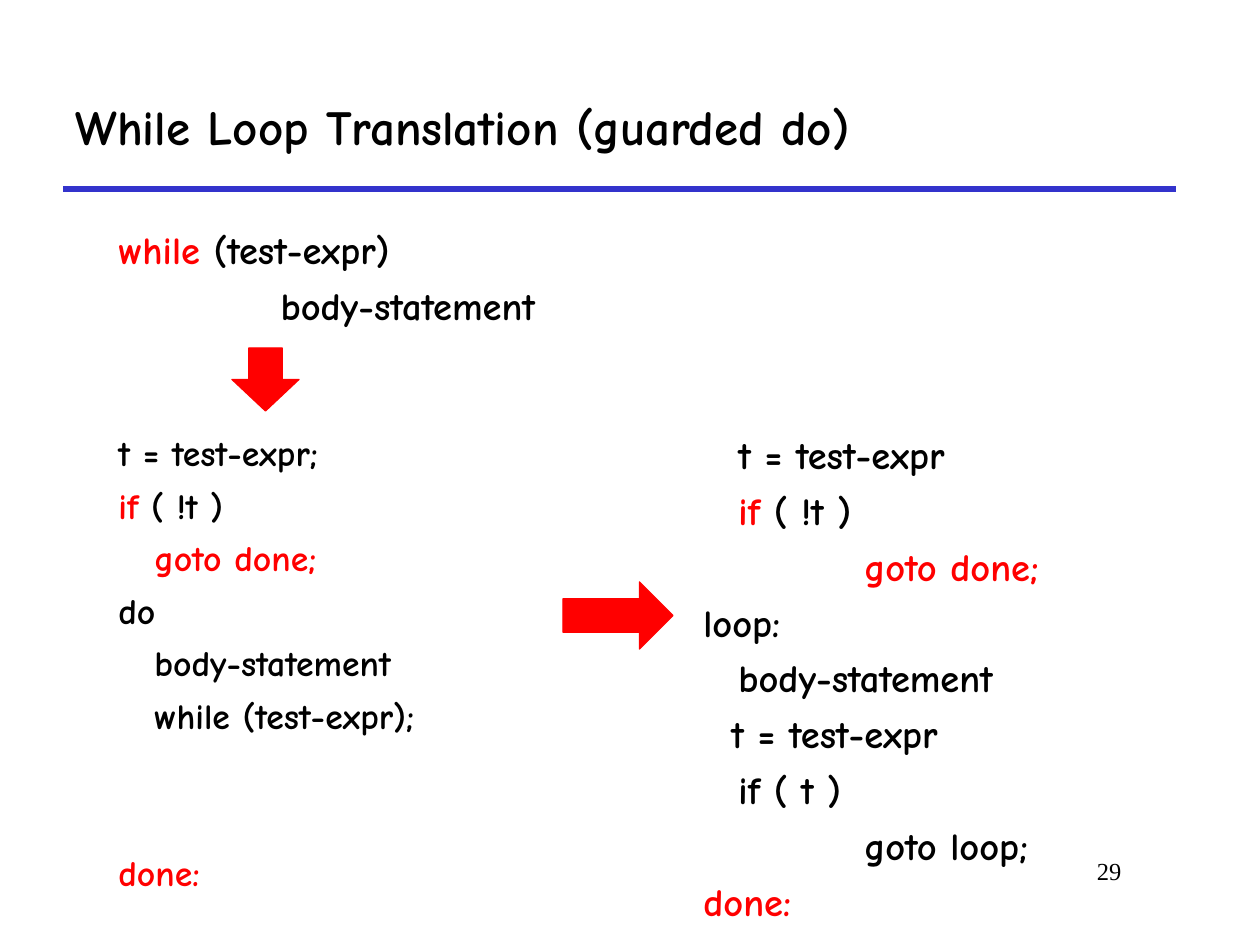
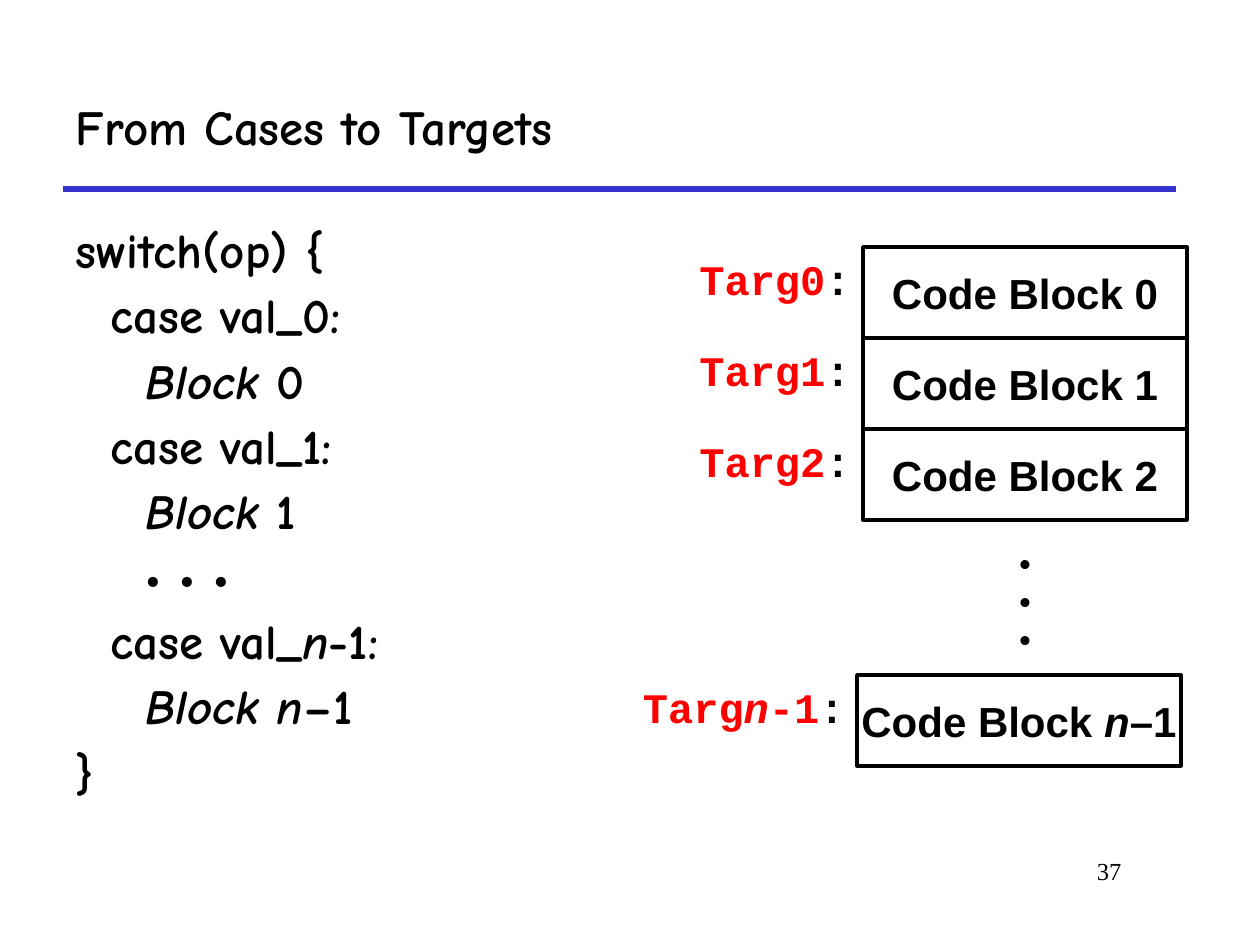
"""Build two lecture slides on translating while loops and switch statements."""
import dataclasses

import lxml.etree
import pptx
import pptx.dml.color
import pptx.enum.shapes
import pptx.enum.text
import pptx.oxml.ns
import pptx.util

SHAPES = pptx.enum.shapes.MSO_SHAPE
ALIGN = pptx.enum.text.PP_ALIGN
ANCHOR = pptx.enum.text.MSO_ANCHOR


@dataclasses.dataclass(frozen=True)
class Theme:
    black: pptx.dml.color.RGBColor = pptx.dml.color.RGBColor(0, 0, 0)
    white: pptx.dml.color.RGBColor = pptx.dml.color.RGBColor(255, 255, 255)
    red: pptx.dml.color.RGBColor = pptx.dml.color.RGBColor(255, 0, 0)
    rule: pptx.dml.color.RGBColor = pptx.dml.color.RGBColor(0x33, 0x33, 0xCC)
    hand: str = "Comic Neue"
    sans: str = "Arial"
    mono: str = "Courier New"
    serif: str = "Times New Roman"
    title: float = 28
    code: float = 22
    small_code: float = 20.4
    block: float = 24
    dots: float = 18
    number: float = 14


theme = Theme()
KEY = {"color": theme.red}
ITALIC = {"italic": True}


def px(*lengths):
    return [pptx.util.Emu(round(length * 914400 / 126)) for length in lengths]


def write_text(shape, lines, size, font=theme.hand, color=theme.black, bold=True,
               align=ALIGN.LEFT, anchor=ANCHOR.TOP, wrap=True, before=0, spacing=1.0):
    """Fill a shape with lines, each an indent followed by (text, overrides) runs."""
    frame = shape.text_frame
    frame.auto_size = pptx.enum.text.MSO_AUTO_SIZE.NONE
    frame.word_wrap = wrap
    frame.vertical_anchor = anchor
    for index, (indent, *runs) in enumerate(lines):
        paragraph = frame.add_paragraph() if index else frame.paragraphs[0]
        paragraph.alignment = align
        paragraph.line_spacing = spacing
        paragraph.space_before = pptx.util.Pt(before)
        properties = paragraph._p.get_or_add_pPr()
        properties.set("marL", str(px(indent)[0]))
        properties.set("indent", "0")
        lxml.etree.SubElement(properties, pptx.oxml.ns.qn("a:buNone"))
        for text, overrides in runs:
            run = paragraph.add_run()
            run.text = text
            run.font.name = font
            run.font.size = pptx.util.Pt(size)
            run.font.bold = bold
            run.font.italic = overrides.get("italic", False)
            run.font.color.rgb = overrides.get("color", color)


presentation = pptx.Presentation()
presentation.slide_width, presentation.slide_height = px(1260, 945)

for title, number in [("While Loop Translation (guarded do)", "29"),
                      ("From Cases to Targets", "37")]:
    slide = presentation.slides.add_slide(presentation.slide_layouts[1])
    heading = slide.shapes.title
    heading.left, heading.top, heading.width, heading.height = px(63, 63, 1113, 126)
    write_text(heading, [(0, (title, {}))], theme.title, anchor=ANCHOR.MIDDLE)
    rule = slide.shapes.add_connector(
        pptx.enum.shapes.MSO_CONNECTOR.STRAIGHT, *px(63, 189, 1176, 189))
    rule.line.color.rgb = theme.rule
    rule.line.width = pptx.util.Pt(3)
    lxml.etree.SubElement(rule._element.spPr, pptx.oxml.ns.qn("a:effectLst"))
    page_number = slide.shapes.add_textbox(*px(955, 850, 179, 63))
    write_text(page_number, [(0, (number, {}))], theme.number, font=theme.serif,
               bold=False, align=ALIGN.RIGHT)

while_slide, switch_slide = presentation.slides

while_loop = while_slide.placeholders[1]
while_loop.left, while_loop.top, while_loop.width, while_loop.height = px(94, 220, 473, 158)
write_text(while_loop, [
    (12, ("while", KEY), (" (test-expr)", {})),
    (174, ("body-statement", {})),
], theme.code, before=5.5)

guarded_do = while_slide.shapes.add_textbox(*px(94, 425, 514, 480))
write_text(guarded_do, [
    (12, ("t = test-expr;", {})),
    (12, ("if ", KEY), ("( !t )", {})),
    (48, ("goto done;", KEY)),
    (12, ("do", {})),
    (48, ("body-statement", {})),
    (48, ("while (test-expr);", {})),
    (12, ("done:", KEY)),
], theme.small_code, before=5.5)
guarded_do.text_frame.paragraphs[-1].space_before = pptx.util.Pt(65.3)

goto_version = while_slide.shapes.add_textbox(*px(678, 425, 473, 510))
write_text(goto_version, [
    (48, ("t = test-expr", {})),
    (48, ("if ", KEY), ("( !t )", {})),
    (174, ("goto done;", KEY)),
    (13, ("loop:", {})),
    (48, ("body-statement", {})),
    (41, ("t = test-expr", {})),
    (48, ("if ( t )", {})),
    (174, ("goto loop;", {})),
    (13, ("done:", KEY)),
], theme.code, before=5.5)

for box, rotation in [((563, 582, 110, 67), 0), ((234, 346, 63, 67), 90)]:
    arrow = while_slide.shapes.add_shape(SHAPES.RIGHT_ARROW, *px(*box))
    arrow.rotation = rotation
    arrow.shadow.inherit = False
    arrow.fill.solid()
    arrow.fill.fore_color.rgb = theme.red
    arrow.line.color.rgb = theme.red
    arrow.line.width = pptx.util.Pt(0.75)

switch_code = switch_slide.placeholders[1]
switch_code.left, switch_code.top, switch_code.width, switch_code.height = px(63, 220, 1124, 609)
write_text(switch_code, [
    (0, ("switch(op) {", {})),
    (35, ("case val_0:", {})),
    (70, ("Block", ITALIC), (" 0", {})),
    (35, ("case val_1:", {})),
    (70, ("Block", ITALIC), (" 1", {})),
    (70, ("• • •", {})),
    (35, ("case val_", {}), ("n", ITALIC), ("-1:", {})),
    (70, ("Block n", ITALIC), ("–1", {})),
    (0, ("}", {})),
], theme.title, before=7, spacing=0.9)

BLOCK_WIDTH, BLOCK_HEIGHT = 324, 91
blocks = [(863, 247 + BLOCK_HEIGHT * index, 176, [(str(index), {})], [(str(index), KEY)])
          for index in range(3)]
blocks.append((857, 675, 227, [("n", ITALIC), ("–1", {})],
               [("n", KEY | ITALIC), ("-1", KEY)]))
for left, top, label_width, block_suffix, target_suffix in blocks:
    block = switch_slide.shapes.add_shape(
        SHAPES.RECTANGLE, *px(left, top, BLOCK_WIDTH, BLOCK_HEIGHT))
    block.shadow.inherit = False
    block.fill.solid()
    block.fill.fore_color.rgb = theme.white
    block.line.color.rgb = theme.black
    block.line.width = pptx.util.Pt(2)
    write_text(block, [(0, ("Code Block ", {}), *block_suffix)], theme.block,
               font=theme.sans, align=ALIGN.CENTER, anchor=ANCHOR.MIDDLE, wrap=False)
    target = switch_slide.shapes.add_textbox(*px(left - label_width, top, label_width, 63))
    write_text(target, [(0, ("Targ", KEY), *target_suffix, (":", {}))], theme.block,
               font=theme.mono, align=ALIGN.RIGHT, wrap=False)

more_blocks = switch_slide.shapes.add_shape(SHAPES.RECTANGLE, *px(863, 552, BLOCK_WIDTH, 98))
more_blocks.shadow.inherit = False
more_blocks.fill.solid()
more_blocks.fill.fore_color.rgb = theme.white
more_blocks.line.fill.background()
write_text(more_blocks, [(0, ("•", {}))] * 3, theme.dots, font=theme.mono,
           align=ALIGN.CENTER, anchor=ANCHOR.MIDDLE, wrap=False)

presentation.save("out.pptx")
